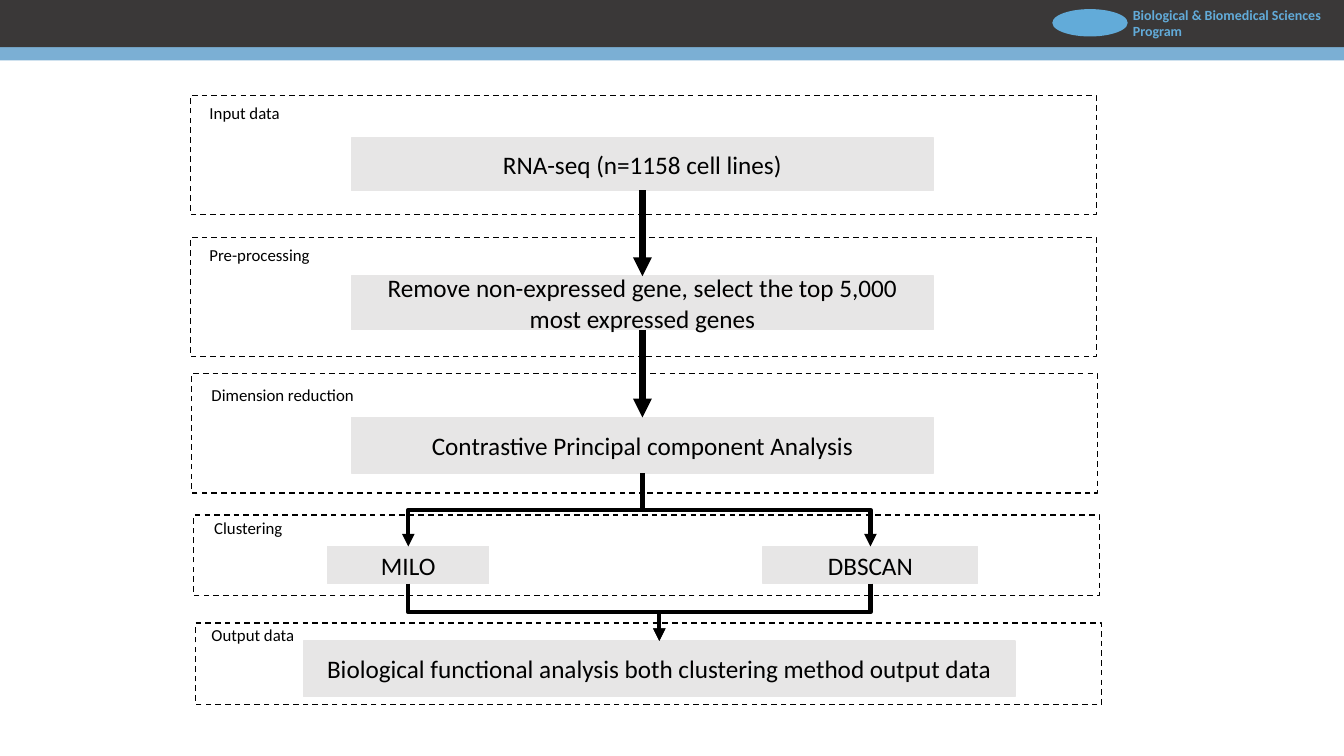
from lxml.etree import SubElement
from pptx import Presentation
from pptx.dml.color import RGBColor
from pptx.enum.dml import MSO_LINE
from pptx.enum.shapes import MSO_CONNECTOR as CONN, MSO_SHAPE as SHAPE
from pptx.enum.text import MSO_ANCHOR as ANCHOR, PP_ALIGN as ALIGN
from pptx.oxml.ns import qn
from pptx.util import Cm, Pt

COLORS = {"black": "000000", "box": "E7E6E6", "dark": "3A3838",
          "band": "7BAFD4", "sky": "62ABD9"}
FONT = "Calibri"
BOTTOM, TOP = 2, 0


def rgb(name):
    return RGBColor.from_string(COLORS[name])


def write(sp, text, size=18, color="black", bold=False, align=ALIGN.LEFT,
          anchor=ANCHOR.MIDDLE, spacing=None, indent=None):
    tf = sp.text_frame
    tf.word_wrap = True
    tf.vertical_anchor = anchor
    p = tf.paragraphs[0]
    p.alignment = align
    if spacing:
        p.line_spacing = spacing
    if indent:
        pPr = p._p.get_or_add_pPr()
        pPr.set("marL", str(Cm(indent)))
        pPr.set("indent", "0")
    r = p.add_run()
    r.text = text
    r.font.name, r.font.size, r.font.bold = FONT, Pt(size), bold
    r.font.color.rgb = rgb(color)


class FlowSlide:
    """Draws the parts of a flow chart on one slide."""

    def __init__(self, prs):
        self.shapes = prs.slides.add_slide(prs.slide_layouts[6]).shapes

    def shape(self, kind, x, y, w, h, fill=None, line=None):
        sp = self.shapes.add_shape(kind, Cm(x), Cm(y), Cm(w), Cm(h))
        sp.shadow.inherit = False
        if fill:
            sp.fill.solid()
            sp.fill.fore_color.rgb = rgb(fill)
        else:
            sp.fill.background()
        if line:
            sp.line.color.rgb = rgb(line)
            sp.line.width = Pt(1)
        else:
            sp.line.fill.background()
        return sp

    def banner(self, x, y, fill):
        sp = self.shape(SHAPE.TRAPEZOID, x, y, 39.29, 1.42, fill)
        sp.adjustments[0] = 0.92
        sp.rotation = 180

    def text(self, text, x, y, w, h, **fmt):
        sp = self.shapes.add_textbox(Cm(x), Cm(y), Cm(w), Cm(h))
        write(sp, text, **fmt)

    def stage(self, x, y, h):
        sp = self.shape(SHAPE.RECTANGLE, x, y, 22.83, h, line="black")
        sp.line.dash_style = MSO_LINE.DASH

    def step(self, text, x, y, w, h):
        sp = self.shape(SHAPE.RECTANGLE, x, y, w, h, "box", "box")
        write(sp, text, align=ALIGN.CENTER)
        return sp

    def arrow(self, src, dst, kind=CONN.STRAIGHT, width=4.5):
        cx = self.shapes.add_connector(kind, 0, 0, 0, 0)
        cx.begin_connect(src, BOTTOM)
        cx.end_connect(dst, TOP)
        cx.line.color.rgb = rgb("black")
        cx.line.width = Pt(width)
        SubElement(cx.line._get_or_add_ln(), qn("a:tailEnd"), type="triangle")
        SubElement(cx._element.spPr, qn("a:effectLst"))
        return cx

    def elbow(self, src, dst):
        cx = self.arrow(src, dst, CONN.ELBOW, 3)
        x1, y1, x2, y2 = cx.begin_x, cx.begin_y, cx.end_x, cx.end_y
        across, down = abs(x2 - x1), y2 - y1
        cx.left, cx.top = (x1 + x2 - down) // 2, (y1 + y2 - across) // 2
        cx.width, cx.height = down, across
        rightward = x2 > x1
        xfrm = cx._element.spPr.find(qn("a:xfrm"))
        xfrm.set("rot", str((270 if rightward else 90) * 60000))
        xfrm.set("flipH", "1" if rightward else "0")


def main():
    prs = Presentation()
    prs.slide_width, prs.slide_height = Cm(33.87), Cm(19.05)
    s = FlowSlide(prs)

    s.banner(-2.77, 0.1, "band")
    s.banner(-1.75, -0.23, "dark")
    s.shape(SHAPE.OVAL, 26.52, 0.23, 1.9, 0.69, "sky")
    s.text("Biological & Biomedical Sciences Program", 28.3, 0.03, 5.57, 1.12,
           size=10, color="sky", bold=True, anchor=ANCHOR.TOP)

    stages = [("Input data", 4.8, 2.41, 3, 4.88, 2.41),
              ("Pre-processing", 4.8, 5.99, 3, 4.88, 5.99),
              ("Dimension reduction", 4.83, 9.42, 3, 4.93, 9.5),
              ("Clustering", 4.88, 12.98, 2.03, 5, 12.85),
              ("Output data", 4.93, 15.7, 2.06, 4.93, 15.57)]
    for label, x, y, h, label_x, label_y in stages:
        s.stage(x, y, h)
        s.text(label, label_x, label_y, 5.28, 0.94, size=12, spacing=0.9,
               indent=0.15)

    steps = [("RNA-seq (n=1158 cell lines)", 8.86, 3.48, 14.66, 1.32),
             ("Remove non-expressed gene, select the top 5,000 "
              "most expressed genes", 8.86, 6.96, 14.66, 1.35),
             ("Contrastive Principal component Analysis",
              8.86, 10.52, 14.66, 1.4),
             ("MILO", 8.26, 13.77, 4.06, 0.94),
             ("DBSCAN", 19.23, 13.77, 5.41, 0.94),
             ("Biological functional analysis both clustering method "
              "output data", 7.65, 16.15, 17.93, 1.4)]
    rna, genes, pca, milo, dbscan, output = [s.step(*step) for step in steps]

    s.arrow(rna, genes)
    s.arrow(genes, pca)
    for method in (milo, dbscan):
        s.elbow(pca, method)
        s.elbow(method, output)

    prs.save("out.pptx")


if __name__ == "__main__":
    main()
